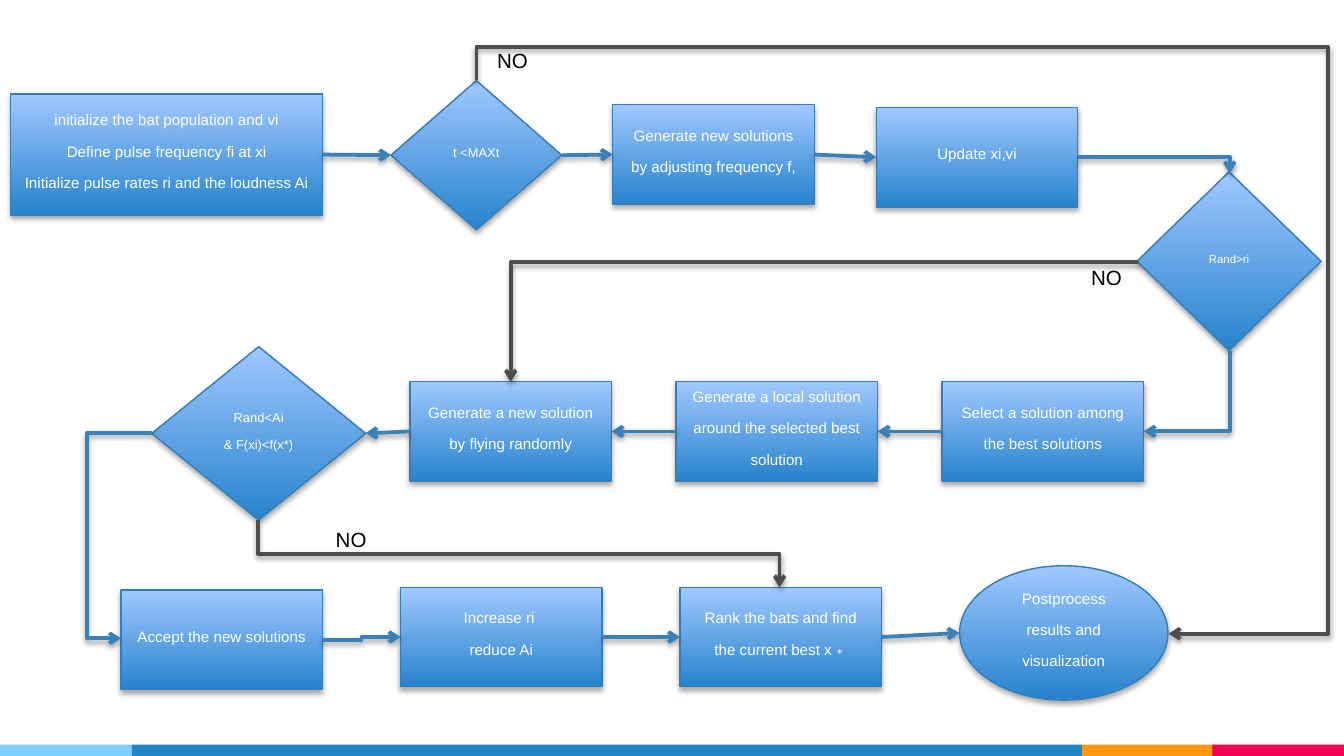
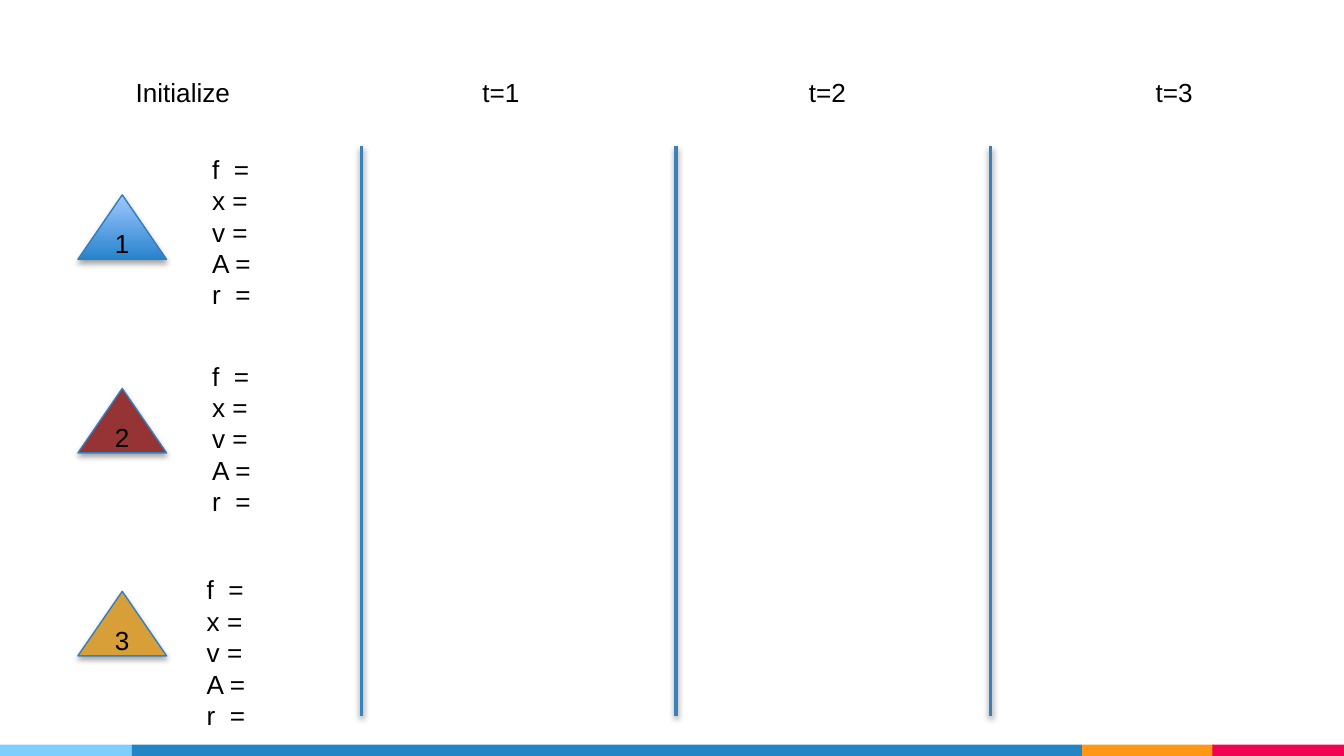
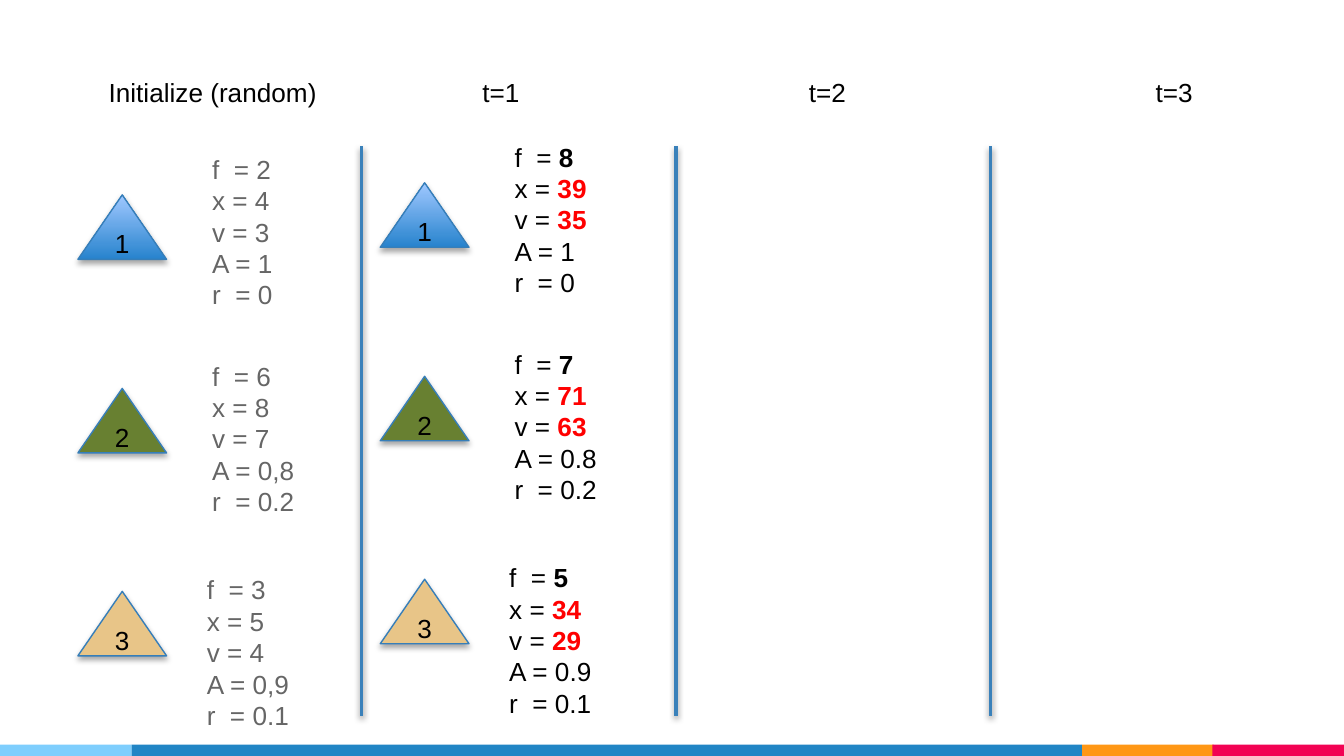
import pptx
import pptx.dml.color
import pptx.enum.shapes
import pptx.enum.text
import pptx.oxml
import pptx.oxml.ns
import pptx.util

Inches = pptx.util.Inches
RGBColor = pptx.dml.color.RGBColor
SHAPE = pptx.enum.shapes.MSO_SHAPE
CONNECTOR = pptx.enum.shapes.MSO_CONNECTOR
qn = pptx.oxml.ns.qn

BLACK = RGBColor(0x00, 0x00, 0x00)
WHITE = RGBColor(0xFF, 0xFF, 0xFF)
RED = RGBColor(0xFF, 0x00, 0x00)
GRAY = RGBColor(0x66, 0x66, 0x66)
DARK = RGBColor(0x4D, 0x4D, 0x4D)
BLUE = RGBColor(0x3A, 0x81, 0xBA)
OUTLINE = RGBColor(0x36, 0x7E, 0xB9)
GRADIENT = [RGBColor(0x27, 0x83, 0xCD), RGBColor(0xA0, 0xC8, 0xFF)]
MAROON = RGBColor(0x96, 0x33, 0x34)
GOLD = RGBColor(0xD8, 0x9F, 0x39)
GREEN = RGBColor(0x68, 0x80, 0x31)
SAND = RGBColor(0xE8, 0xC5, 0x88)
BANDS = [
    (8.05, 0.98, RGBColor(0xFF, 0x97, 0x15)),
    (9.02, 0.98, RGBColor(0xF2, 0x02, 0x53)),
    (0, 0.98, RGBColor(0x7E, 0xCE, 0xFD)),
    (0.98, 7.07, RGBColor(0x21, 0x85, 0xC5)),
]
NS = 'xmlns:a="http://schemas.openxmlformats.org/drawingml/2006/main"'
SHADOW = (
    f'<a:effectLst {NS}><a:outerShdw blurRad="39370" dist="%d" dir="5400000" rotWithShape="0">'
    '<a:srgbClr val="000000"><a:alpha val="%d"/></a:srgbClr></a:outerShdw></a:effectLst>'
)


def put(s, kind, box, lines, size=14, color=BLACK, fill=None, wrap=True, base=None):
    x, y, w, h = [Inches(v) for v in box]
    if kind is None:
        sp = s.shapes.add_textbox(x, y, w, h)
        sp.text_frame.auto_size = pptx.enum.text.MSO_AUTO_SIZE.SHAPE_TO_FIT_TEXT
    else:
        sp = s.shapes.add_shape(kind, x, y, w, h)
        if fill is None:
            sp.fill.gradient()
            sp.fill.gradient_angle = 90
            for stop, rgb in zip(sp.fill.gradient_stops, GRADIENT):
                stop.color.rgb = rgb
        else:
            sp.fill.solid()
            sp.fill.fore_color.rgb = fill
        sp.line.color.rgb = OUTLINE
        sp.line.width = pptx.util.Pt(0.75)
        sp._element.spPr.append(pptx.oxml.parse_xml(SHADOW % (22860, 35000)))
    tf = sp.text_frame
    tf.word_wrap = wrap
    if kind is not None:
        tf.vertical_anchor = pptx.enum.text.MSO_ANCHOR.MIDDLE
    for i, line in enumerate(lines):
        p = tf.paragraphs[0] if i == 0 else tf.add_paragraph()
        if kind is not None:
            p.alignment = pptx.enum.text.PP_ALIGN.CENTER
        for text, rgb, bold in [(line, color, None)] if isinstance(line, str) else line:
            r = p.add_run()
            r.text = text
            r.font.name = "Arial"
            r.font.size = pptx.util.Pt(size)
            r.font.color.rgb = rgb
            r.font.bold = bold
            if base:
                r.font._element.set("baseline", str(base))
    return sp


def connect(s, kind, x1, y1, x2, y2, color=BLUE, arrow=True):
    c = s.shapes.add_connector(kind, Inches(x1), Inches(y1), Inches(x2), Inches(y2))
    c.line.color.rgb = color
    c.line.width = pptx.util.Pt(2)
    if arrow:
        c.line._ln.append(pptx.oxml.parse_xml(f'<a:tailEnd {NS} type="arrow"/>'))
    c._element.spPr.append(pptx.oxml.parse_xml(SHADOW % (20320, 38000)))
    return c


prs = pptx.Presentation()
prs.slide_width = Inches(10)
prs.slide_height = Inches(10 * 9 / 16)
blank = prs.slide_layouts[6]

s = prs.slides.add_slide(blank)
for x, w, rgb in BANDS:
    sp = s.shapes.add_shape(SHAPE.RECTANGLE, Inches(x), Inches(5.54), Inches(w), Inches(0.08))
    sp.height = prs.slide_height - sp.top
    sp.shadow.inherit = False
    sp.fill.solid()
    sp.fill.fore_color.rgb = rgb
    sp.line.fill.background()
    prs.slide_master.shapes._spTree.append(sp._element)

STEP = (1.5, 0.74)
steps = [
    ("init", SHAPE.RECTANGLE, (0.08, 0.7, 2.32, 0.9), 14,
     ["initialize the bat population and vi", "Define pulse frequency fi at xi",
      "Initialize pulse rates ri and the loudness Ai"]),
    ("limit", SHAPE.DIAMOND, (2.91, 0.6, 1.27, 1.11), 12, ["t <MAXt"]),
    ("adjust", SHAPE.RECTANGLE, (4.56, 0.78, *STEP), 14,
     ["Generate new solutions by adjusting frequency f,"]),
    ("update", SHAPE.RECTANGLE, (6.52, 0.8, *STEP), 14, ["Update xi,vi"]),
    ("pulse", SHAPE.DIAMOND, (8.46, 1.28, 1.37, 1.33), 10.5, ["Rand>ri"]),
    ("select", SHAPE.RECTANGLE, (7.01, 2.84, *STEP), 14,
     ["Select a solution among the best solutions"]),
    ("local", SHAPE.RECTANGLE, (5.03, 2.84, *STEP), 14,
     ["Generate a local solution around the selected best solution"]),
    ("fly", SHAPE.RECTANGLE, (3.05, 2.84, *STEP), 14,
     ["Generate a new solution by flying randomly"]),
    ("loudness", SHAPE.DIAMOND, (1.13, 2.58, 1.59, 1.29), 12, ["Rand<Ai", "& F(xi)<f(x*)"]),
    ("accept", SHAPE.RECTANGLE, (0.9, 4.39, *STEP), 14, ["Accept the new solutions"]),
    ("increase", SHAPE.RECTANGLE, (2.98, 4.37, *STEP), 14, ["Increase ri ", "reduce Ai"]),
    ("rank", SHAPE.RECTANGLE, (5.06, 4.37, *STEP), 14,
     ["Rank the bats and find the current best x∗"]),
    ("finish", SHAPE.OVAL, (7.14, 4.21, 1.55, 1), 14, ["Postprocess results and visualization"]),
]
nodes = {}
for name, kind, box, size, lines in steps:
    nodes[name] = put(s, kind, box, lines, size=size, color=WHITE, base=30000)

LEFT, RIGHT = 1, 3
for start, out, end, into in [
    ("init", RIGHT, "limit", LEFT),
    ("limit", RIGHT, "adjust", LEFT),
    ("adjust", RIGHT, "update", LEFT),
    ("select", LEFT, "local", RIGHT),
    ("local", LEFT, "fly", RIGHT),
    ("fly", LEFT, "loudness", RIGHT),
    ("increase", RIGHT, "rank", LEFT),
]:
    c = connect(s, CONNECTOR.STRAIGHT, 0, 0, 1, 1)
    c.begin_connect(nodes[start], out)
    c.end_connect(nodes[end], into)
c = connect(s, CONNECTOR.STRAIGHT, 6.56, 4.74, 7.14, 4.71)
c.begin_connect(nodes["rank"], RIGHT)

for x, y, w, h, turn, flip, bends, adjust, color in [
    (8.53, 2.59, 0.6, 0.64, 90, None, 2, [], BLUE),
    (8.02, 1.17, 1.13, 0.12, 0, None, 2, [], BLUE),
    (3.8, 1.95, 4.67, 0.89, 180, "flipV", 2, [], DARK),
    (0.9, 3.22, 0.23, 1.53, 180, "flipV", 3, [2.09], BLUE),
    (2.4, 4.74, 0.58, 0.02, 0, "flipV", 3, [], BLUE),
    (3.61, 2.18, 0.5, 3.88, 270, "flipH", 3, [], DARK),
    (4.06, 0.08, 4.12, 5.15, 270, "flipH", 4, [-0.06, 1.23], DARK),
]:
    c = connect(s, CONNECTOR.ELBOW, x, y, x + w, y + h, color=color)
    xfrm = c._element.spPr.find(qn("a:xfrm"))
    xfrm.set("rot", str(turn * 60000))
    if flip:
        xfrm.set(flip, "1")
    geom = c._element.spPr.find(qn("a:prstGeom"))
    geom.set("prst", f"bentConnector{bends}")
    guides = "".join(
        f'<a:gd name="adj{i}" fmla="val {round(v * 100000)}"/>' for i, v in enumerate(adjust, 1)
    )
    for child in list(geom):
        geom.remove(child)
    geom.append(pptx.oxml.parse_xml(f"<a:avLst {NS}>{guides}</a:avLst>"))

for x, y in [(8.02, 1.92), (2.4, 3.87), (3.6, 0.31)]:
    put(s, None, (x, y, 0.43, 0.29), ["NO"], size=11, wrap=False)

LABELS = ["f  =", "x =", "v =", "A =", "r  ="]
BATS = [(1.45, 1.48, 1.09), (2.89, 1.48, 2.63), (4.4, 1.44, 4.22)]
EMPTY = [[""] * 5] * 3
START = [["2", "4", "3", "1", "0"], ["6", "8", "7", "0,8", "0.2"], ["3", "5", "4", "0,9", "0.1"]]
FIRST = [["8", "39", "35", "1", "0"], ["7", "71", "63", "0.8", "0.2"],
         ["5", "34", "29", "0.9", "0.1"]]
EMPHASIS = [(BLACK, True), (RED, True), (RED, True), (BLACK, None), (BLACK, None)]

for heading, heading_x, heading_w, fills, columns in [
    ("Initialize", 0.91, 0.91, [None, MAROON, GOLD], [(0, 0, EMPTY, BLACK, False)]),
    ("Initialize (random)", 0.71, 1.76, [None, GREEN, SAND],
     [(0, 0, START, GRAY, False), (2.25, -0.09, FIRST, BLACK, True)]),
]:
    s = prs.slides.add_slide(blank)
    for i in range(3):
        x = 2.69 + 2.34 * i
        connect(s, CONNECTOR.STRAIGHT, x, 1.09, x, 5.33, arrow=False)
    put(s, None, (heading_x, 0.52, heading_w, 0.34), [heading], wrap=False)
    for text, x in [("t=1", 3.49), ("t=2", 5.92), ("t=3", 8.5)]:
        put(s, None, (x, 0.52, 0.48, 0.34), [text], wrap=False)
    for dx, dy, table, color, emphasized in columns:
        for i, (bat_y, x, y) in enumerate(BATS):
            put(s, SHAPE.ISOSCELES_TRIANGLE, (0.58 + dx, bat_y + dy, 0.66, 0.48), [str(i + 1)],
                fill=fills[i])
            if emphasized:
                lines = [[(label + " ", color, None), (value, *style)]
                         for label, value, style in zip(LABELS, table[i], EMPHASIS)]
            else:
                lines = [f"{label} {value}".rstrip() for label, value in zip(LABELS, table[i])]
            w = 0.67 if table is EMPTY else 2.39 - x
            put(s, None, (x + dx, y + dy, w, 1.28), lines, color=color)

prs.save("out.pptx")
